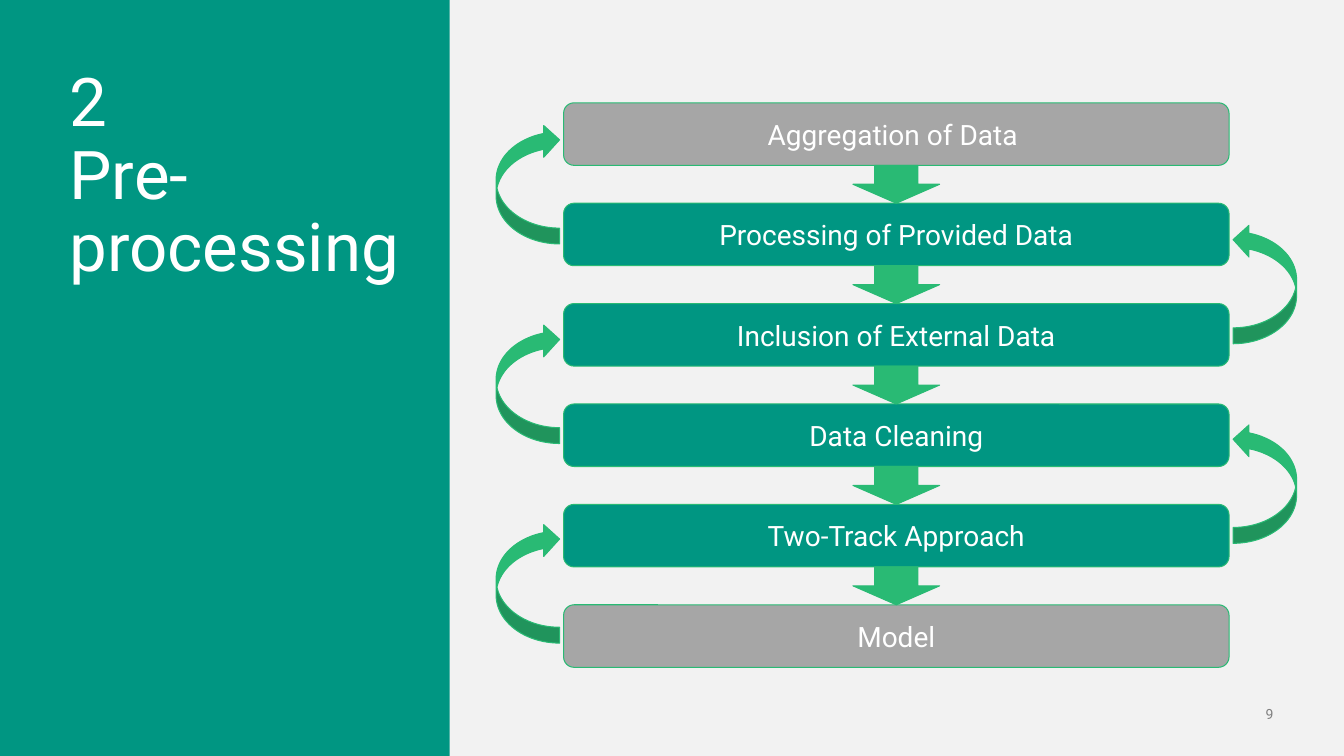
from dataclasses import dataclass

from pptx import Presentation
from pptx.dml.color import RGBColor
from pptx.enum import shapes, text
from pptx.shapes.autoshape import Shape
from pptx.slide import Slide
from pptx.util import Inches, Pt

TEAL = RGBColor(0x00, 0x96, 0x82)
GREEN = RGBColor(0x29, 0xBA, 0x74)
GRAY = RGBColor(0xA6, 0xA6, 0xA6)
PAGE_GRAY = RGBColor(0x80, 0x80, 0x80)
PANEL = RGBColor(0xF2, 0xF2, 0xF2)
WHITE = RGBColor(0xFF, 0xFF, 0xFF)
FONT = "Roboto"

STEP_LEFT, STEP_WIDTH, STEP_HEIGHT = 5.59, 6.6, 0.62
FIRST_TOP, LAST_TOP = 1.02, 6.0
DOWN_WIDTH = 0.86
LOOP_TOP, LOOP_PITCH = 1.23, 0.99
LOOP_WIDTH, LOOP_HEIGHT = 0.63, 1.19


@dataclass(frozen=True)
class Step:
    label: str
    fill: RGBColor = TEAL


@dataclass(frozen=True)
class LoopSide:
    """Return arrows on one side of the steps, rotated to point upwards."""
    left: float
    preset: shapes.MSO_SHAPE


STEPS = [
    Step("Aggregation of Data ", GRAY),
    Step("Processing of Provided Data"),
    Step("Inclusion of External Data"),
    Step("Data Cleaning"),
    Step("Two-Track Approach"),
    Step("Model", GRAY),
]
LOOP_SIDES = [
    LoopSide(4.92, shapes.MSO_SHAPE.CURVED_LEFT_ARROW),
    LoopSide(12.23, shapes.MSO_SHAPE.CURVED_RIGHT_ARROW),
]


def add_filled(slide: Slide, preset: shapes.MSO_SHAPE, left: float, top: float,
               width: float, height: float, fill: RGBColor,
               outlined: bool = True) -> Shape:
    shape = slide.shapes.add_shape(
        preset, Inches(left), Inches(top), Inches(width), Inches(height))
    shape.shadow.inherit = False
    shape.fill.solid()
    shape.fill.fore_color.rgb = fill
    if outlined:
        shape.line.color.rgb = GREEN
        shape.line.width = Pt(0.75)
    else:
        shape.line.fill.background()
    return shape


def write(shape: Shape, wording: str, size: float, color: RGBColor,
          align: text.PP_ALIGN, anchor: text.MSO_ANCHOR) -> None:
    frame = shape.text_frame
    frame.word_wrap = True
    frame.vertical_anchor = anchor
    paragraph = frame.paragraphs[0]
    paragraph.text = wording
    paragraph.alignment = align
    paragraph.font.name = FONT
    paragraph.font.size = Pt(size)
    paragraph.font.color.rgb = color


def add_label(slide: Slide, left: float, top: float, width: float, height: float) -> Shape:
    """Add a text box without insets."""
    label = slide.shapes.add_textbox(
        Inches(left), Inches(top), Inches(width), Inches(height))
    frame = label.text_frame
    frame.margin_left = frame.margin_right = frame.margin_top = frame.margin_bottom = 0
    return label


def main() -> None:
    deck = Presentation()
    deck.slide_width, deck.slide_height = Inches(13.33), Inches(7.5)
    slide = deck.slides.add_slide(deck.slide_layouts[6])
    slide.background.fill.solid()
    slide.background.fill.fore_color.rgb = TEAL
    add_filled(slide, shapes.MSO_SHAPE.RECTANGLE, 4.46, 0, 8.87, 7.5, PANEL, outlined=False)

    page_number = add_label(slide, 12.21, 7, 0.42, 0.17)
    write(page_number, "9", 10, PAGE_GRAY, text.PP_ALIGN.RIGHT, text.MSO_ANCHOR.BOTTOM)

    title = add_label(slide, 0.69, 0.68, 3.42, 1.64)
    write(title, "2\vPre-\vprocessing", 48, WHITE, text.PP_ALIGN.LEFT, text.MSO_ANCHOR.TOP)
    title.text_frame.paragraphs[0].line_spacing = 0.9

    pitch = (LAST_TOP - FIRST_TOP) / (len(STEPS) - 1)
    for index, step in enumerate(STEPS):
        box = add_filled(slide, shapes.MSO_SHAPE.ROUNDED_RECTANGLE, STEP_LEFT,
                         FIRST_TOP + index * pitch, STEP_WIDTH, STEP_HEIGHT, step.fill)
        write(box, step.label, 20, WHITE, text.PP_ALIGN.CENTER, text.MSO_ANCHOR.MIDDLE)

    down_left = STEP_LEFT + (STEP_WIDTH - DOWN_WIDTH) / 2
    for index in range(len(STEPS) - 1):
        add_filled(slide, shapes.MSO_SHAPE.DOWN_ARROW, down_left,
                   FIRST_TOP + index * pitch + STEP_HEIGHT,
                   DOWN_WIDTH, pitch - STEP_HEIGHT, GREEN)
        side = LOOP_SIDES[index % 2]
        loop = add_filled(slide, side.preset, side.left, LOOP_TOP + index * LOOP_PITCH,
                          LOOP_WIDTH, LOOP_HEIGHT, GREEN)
        loop.rotation = 180

    deck.save("out.pptx")


if __name__ == "__main__":
    main()
